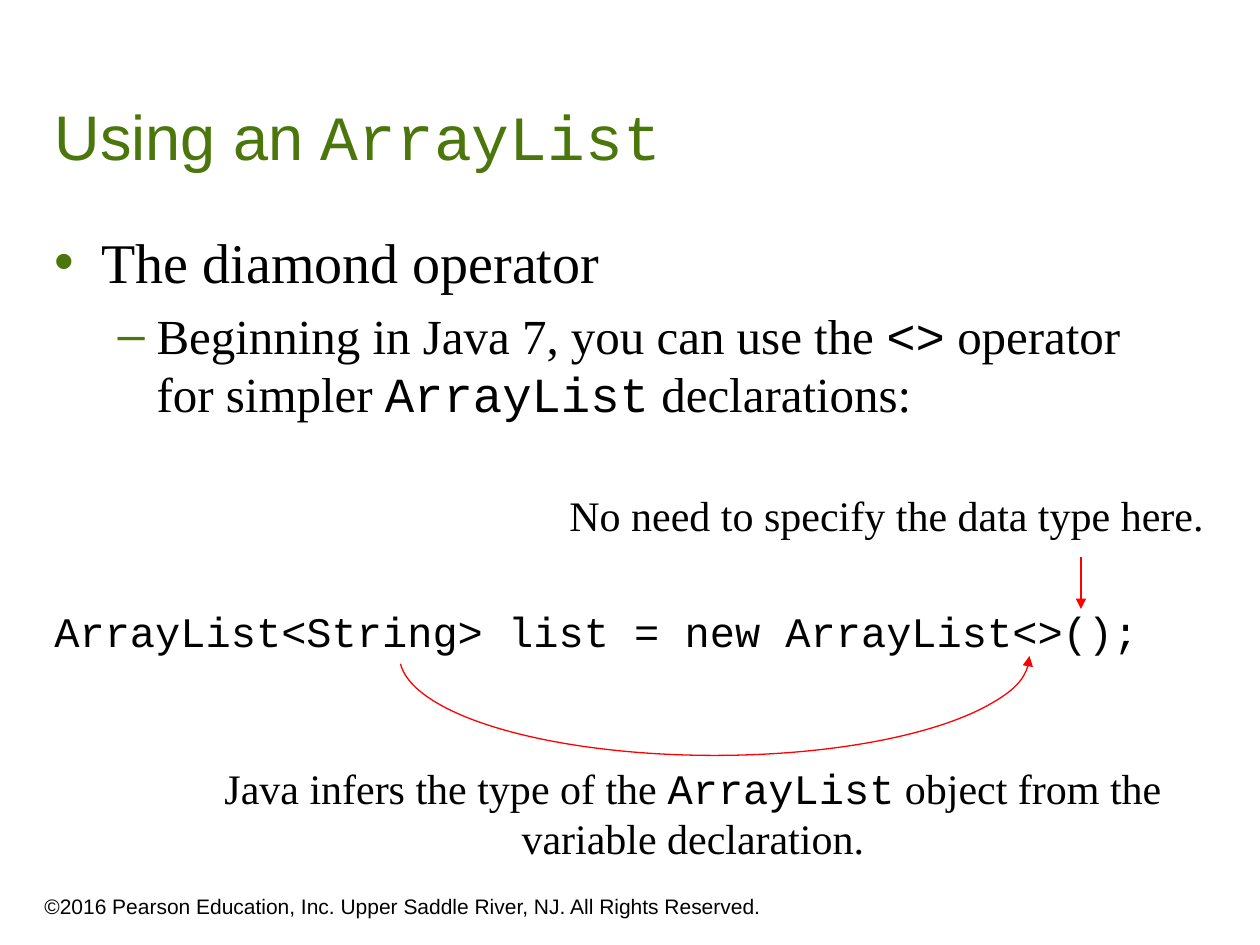
from lxml.etree import SubElement as Sub
from pptx import Presentation
from pptx.dml.color import RGBColor
from pptx.enum.shapes import MSO_CONNECTOR as Link, MSO_SHAPE as Shape
from pptx.enum.text import MSO_ANCHOR as Anchor, PP_ALIGN as Align
from pptx.oxml.ns import qn
from pptx.util import Pt

PX = 914400 / 126
GREEN = RGBColor(0x4B, 0x76, 0x0B)
BLACK = RGBColor(0, 0, 0)
RED = RGBColor(0xFF, 0, 0)
SANS, SERIF, MONO = "Arial", "Times New Roman", "Courier New"


def px(*nums):
    return [round(n * PX) for n in nums]


def write(para, runs, size, color):
    for text, face in runs:
        run = para.add_run()
        run.text = text
        run.font.name = face
        run.font.size = Pt(size)
        run.font.color.rgb = color


deck = Presentation()
deck.slide_width, deck.slide_height = px(1260, 945)
slide = deck.slides.add_slide(deck.slide_layouts[1])
shapes = slide.shapes

title, body = slide.placeholders
title.left, title.top, title.width, title.height = px(42, 42, 1187, 137)
title.text_frame.vertical_anchor = Anchor.BOTTOM
head = title.text_frame.paragraphs[0]
head.alignment = Align.LEFT
write(head, [("Using an ", SANS), ("ArrayList", MONO)], 36, GREEN)

body.left, body.top, body.width, body.height = px(42, 221, 1143, 630)
frame = body.text_frame
frame.margin_right = 0
items = [
    ("•", 47, -47, 32, 0, [("The diamond operator", SERIF)]),
    ("–", 102, -39, 28, 6, [
        ("Beginning in Java 7, you can use the ", SERIF),
        ("<>", MONO),
        (" operator for simpler ", SERIF),
        ("ArrayList", MONO),
        (" declarations:", SERIF),
    ]),
]
for level, (mark, left, hang, size, gap, runs) in enumerate(items):
    para = frame.add_paragraph() if level else frame.paragraphs[0]
    para.level = level
    props = para._p.get_or_add_pPr()
    props.set("marL", str(px(left)[0]))
    props.set("indent", str(px(hang)[0]))
    tint = Sub(props, qn("a:buClr"))
    Sub(tint, qn("a:srgbClr"), val=str(GREEN))
    Sub(props, qn("a:buChar"), char=mark)
    para.space_before = Pt(gap)
    write(para, runs, size, BLACK)

notes = [
    ((32, 872, 766, 53), 12, Align.LEFT, Anchor.BOTTOM, [
        ("©2016 Pearson Education, Inc. Upper Saddle River, NJ. "
         "All Rights Reserved.", SANS),
    ]),
    ((189, 756, 1008, 115), 24, Align.CENTER, Anchor.TOP, [
        ("Java infers the type of the ", SERIF),
        ("ArrayList", MONO),
        (" object from the variable declaration.", SERIF),
    ]),
    ((42, 599, 1134, 63), 24, Align.LEFT, Anchor.TOP, [
        ("ArrayList<String> list = new ArrayList<>();", MONO),
    ]),
    ((557, 483, 672, 64), 24, Align.LEFT, Anchor.TOP, [
        ("No need to specify the data type here.", SERIF),
    ]),
]
for place, size, align, anchor, runs in notes:
    frame = shapes.add_textbox(*px(*place)).text_frame
    frame.word_wrap = True
    frame.vertical_anchor = anchor
    para = frame.paragraphs[0]
    para.alignment = align
    write(para, runs, size, BLACK)

arc = shapes.add_shape(Shape.ARC, *px(615, 341, 199, 630))
arc.rotation = 90
arc.adjustments[0] = 162
arc.adjustments[1] = 53.14
arc.fill.background()
arc.shadow.inherit = False

arrow = shapes.add_connector(Link.STRAIGHT, *px(1081, 557, 1081, 609))

for item, end in ((arc, "a:headEnd"), (arrow, "a:tailEnd")):
    item.line.color.rgb = RED
    item.line.width = Pt(0.75)
    Sub(item.line._get_or_add_ln(), qn(end), type="triangle")
Sub(arrow._element.spPr, qn("a:effectLst"))

deck.save("out.pptx")
